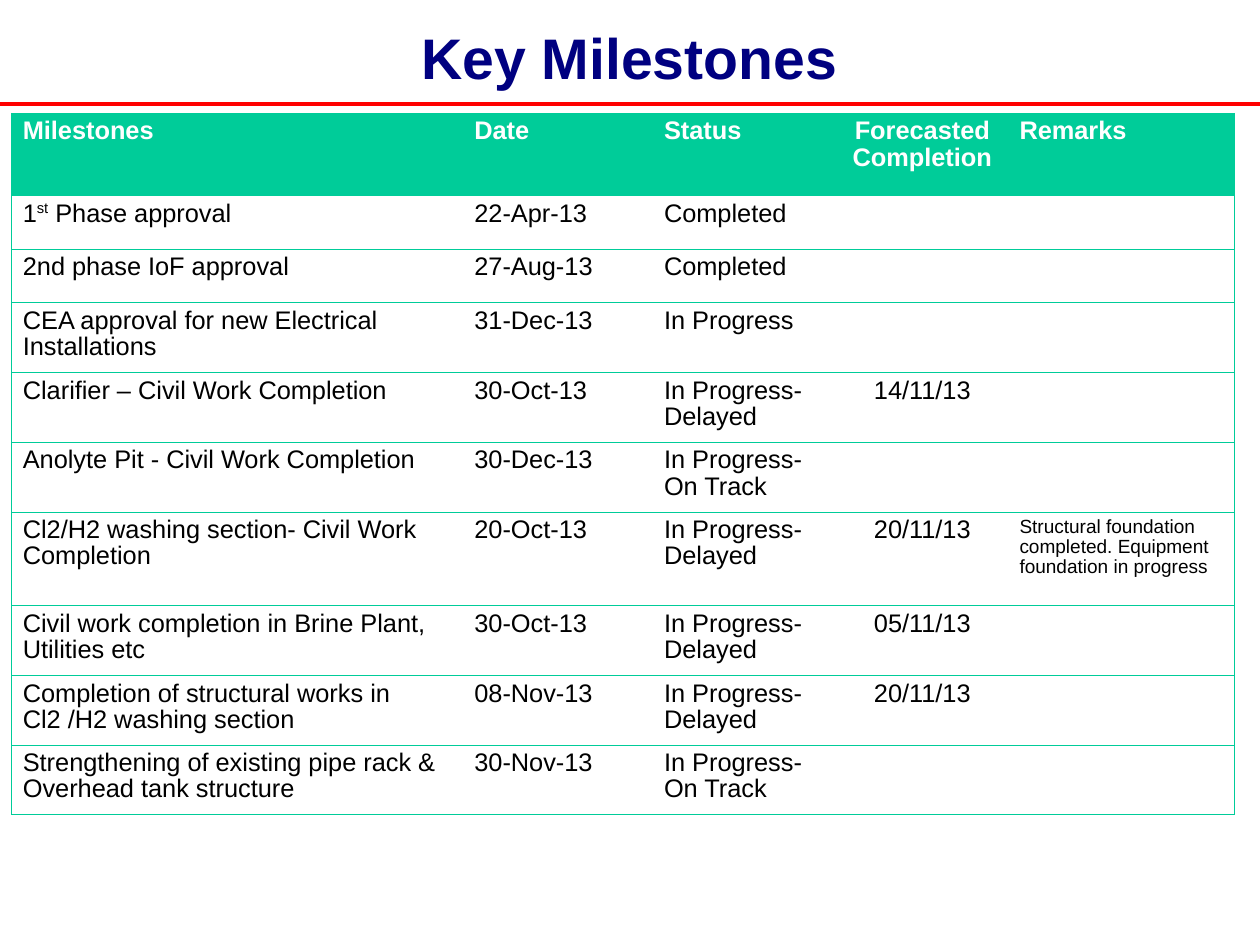
from lxml import etree
from pptx import Presentation
from pptx import util as u
from pptx.dml.color import RGBColor
from pptx.enum import shapes, text
from pptx.oxml import ns

NAVY = RGBColor(0x00, 0x00, 0x80)
RED = RGBColor(0xFF, 0x00, 0x00)
GREEN = RGBColor(0x00, 0xCC, 0x99)
WHITE = RGBColor(0xFF, 0xFF, 0xFF)
BLACK = RGBColor(0x00, 0x00, 0x00)
FONT = "Arial"

TITLE = "Key Milestones"
DELAYED = "In Progress- Delayed"
ON_TRACK = "In Progress- On Track"
HEADINGS = ("Milestones", "Date", "Status", "Forecasted Completion", "Remarks")
MILESTONES = [
    (("1", "st", " Phase approval"), "22-Apr-13", "Completed", "", ""),
    ("2nd phase IoF approval", "27-Aug-13", "Completed", "", ""),
    ("CEA approval for new Electrical Installations", "31-Dec-13", "In Progress", "", ""),
    ("Clarifier – Civil Work Completion", "30-Oct-13", DELAYED, "14/11/13", ""),
    ("Anolyte Pit - Civil Work Completion", "30-Dec-13", ON_TRACK, "", ""),
    ("Cl2/H2 washing section- Civil Work Completion", "20-Oct-13", DELAYED, "20/11/13",
     "Structural foundation completed. Equipment foundation in progress"),
    ("Civil work completion in Brine Plant, Utilities etc", "30-Oct-13", DELAYED, "05/11/13", ""),
    ("Completion of structural works in Cl2 /H2 washing section", "08-Nov-13", DELAYED,
     "20/11/13", ""),
    ("Strengthening of existing pipe rack & Overhead tank structure", "30-Nov-13", ON_TRACK,
     "", ""),
]
COLUMN_WIDTHS = (3.95, 1.66, 1.61, 1.5, 1.98)
ROW_HEIGHTS = (0.72, 0.47, 0.47, 0.61, 0.61, 0.61, 0.82, 0.61, 0.61, 0.61)
FORECAST, REMARKS = 3, 4


def add_title(page):
    box = page.shapes.title
    box.left, box.top, box.width, box.height = map(u.Inches, (0.55, 0.12, 9.91, 0.75))
    frame = box.text_frame
    frame.margin_left = frame.margin_right = frame.margin_top = frame.margin_bottom = 0
    frame.vertical_anchor = text.MSO_ANCHOR.MIDDLE
    frame.text = TITLE
    para = frame.paragraphs[0]
    para.alignment = text.PP_ALIGN.CENTER
    style_font(para.font, 36, NAVY, True)


def style_font(font, size, color, bold):
    font.name, font.size, font.bold = FONT, u.Pt(size), bold
    font.color.rgb = color


def add_rule(page, width):
    y = u.Inches(0.91)
    rule = page.shapes.add_connector(shapes.MSO_CONNECTOR.STRAIGHT, 0, y, width, y)
    rule.line.color.rgb = RED
    rule.line.width = u.Pt(2.83)
    etree.SubElement(rule._element.spPr, ns.qn("a:effectLst"))


def set_borders(cell, visible):
    properties = cell._tc.get_or_add_tcPr()
    for side in "LRTB":
        line = etree.SubElement(properties, ns.qn(f"a:ln{side}"), w=str(u.Pt(0.45)))
        if side in visible:
            fill = etree.SubElement(line, ns.qn("a:solidFill"))
            etree.SubElement(fill, ns.qn("a:srgbClr"), val=str(GREEN))
        else:
            etree.SubElement(line, ns.qn("a:noFill"))


def fill_cell(cell, content, row, column):
    header = row == 0
    edges = {0: "L", len(HEADINGS) - 1: "R"}
    set_borders(cell, "TB" + edges.get(column, ""))
    cell.fill.solid()
    cell.fill.fore_color.rgb = GREEN if header else WHITE
    para = cell.text_frame.paragraphs[0]
    para.line_spacing = 0.93
    if column == FORECAST:
        para.alignment = text.PP_ALIGN.CENTER
    size = 12 if column == REMARKS and content and not header else 16
    style_font(para.font, size, WHITE if header else BLACK, header)
    if isinstance(content, tuple):
        for index, part in enumerate(content):
            span = para.add_run()
            span.text = part
            if index == 1:
                span._r.get_or_add_rPr().set("baseline", "33000")
    elif content:
        para.add_run().text = content


def add_milestones(page):
    rows = [HEADINGS] + MILESTONES
    frame = page.shapes.add_table(
        len(rows), len(HEADINGS), u.Inches(0.1), u.Inches(0.99),
        u.Inches(sum(COLUMN_WIDTHS)), u.Inches(sum(ROW_HEIGHTS)))
    table = frame.table
    table.horz_banding = False
    for column, width in zip(table.columns, COLUMN_WIDTHS):
        column.width = u.Inches(width)
    for row, height in zip(table.rows, ROW_HEIGHTS):
        row.height = u.Inches(height)
    for row, contents in enumerate(rows):
        for column, content in enumerate(contents):
            fill_cell(table.cell(row, column), content, row, column)


def main():
    deck = Presentation()
    deck.slide_width, deck.slide_height = u.Cm(28), u.Cm(21)
    page = deck.slides.add_slide(deck.slide_layouts[5])
    add_rule(page, deck.slide_width)
    add_title(page)
    add_milestones(page)
    deck.save("out.pptx")


if __name__ == "__main__":
    main()
